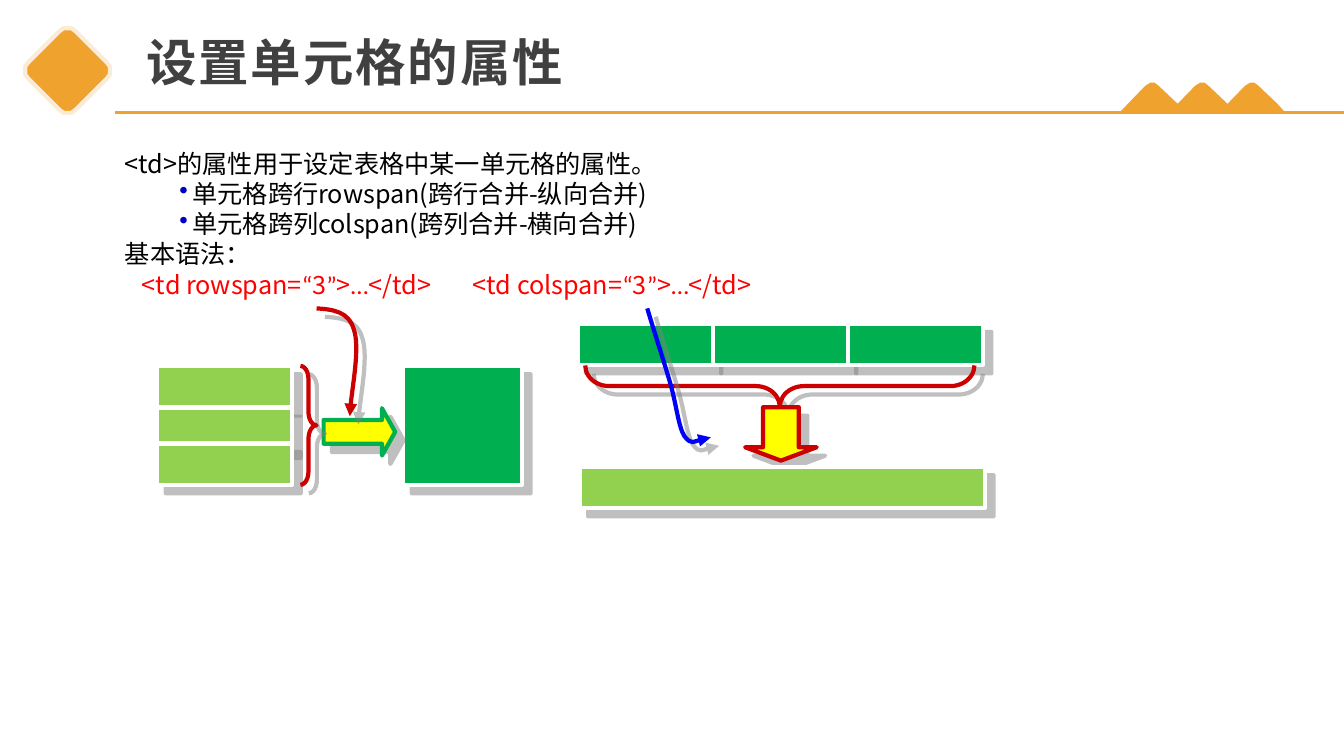
from lxml.etree import SubElement
from pptx import Presentation
from pptx.dml.color import RGBColor
from pptx.enum.shapes import MSO_CONNECTOR, MSO_SHAPE
from pptx.oxml.ns import qn
from pptx.util import Inches, Pt

ORANGE = RGBColor(0xF0, 0xA2, 0x2E)
CREAM = RGBColor(0xFC, 0xEC, 0xD5)
GREY = RGBColor(0x40, 0x40, 0x40)
BLACK = RGBColor(0, 0, 0)
WHITE = RGBColor(0xFF, 0xFF, 0xFF)
LIME = RGBColor(0x92, 0xD0, 0x50)
GREEN = RGBColor(0x00, 0xB0, 0x50)
YELLOW = RGBColor(0xFF, 0xFF, 0x00)
RED = RGBColor(0xFF, 0, 0)
CRIMSON = RGBColor(0xCC, 0, 0)
BLUE = RGBColor(0, 0, 0xFA)
SHADE = RGBColor(0x80, 0x80, 0x80)
NAVY = RGBColor(0, 0, 0xCC)
SANS = "Noto Sans CJK SC"
QUOTE = "Calibri"
HEAD = "Roboto"


class Board:
    def __init__(self, slide):
        self.shapes = slide.shapes

    def paint(self, shape, fill, line, width, shade):
        if fill is None:
            shape.fill.background()
        else:
            shape.fill.solid()
            shape.fill.fore_color.rgb = fill
        if line is None:
            shape.line.fill.background()
        else:
            shape.line.color.rgb = line
            shape.line.width = Pt(width)
        shape.shadow.inherit = False
        if shade:
            effects = shape.element.spPr.find(qn("a:effectLst"))
            outer = SubElement(effects, qn("a:outerShdw"), blurRad="0", dist=str(Pt(8.5)),
                               dir="2700000", algn="ctr", rotWithShape="0")
            tint = SubElement(outer, qn("a:srgbClr"), val=str(SHADE))
            SubElement(tint, qn("a:alpha"), val="50000")
        return shape

    def block(self, kind, box, fill, line, turn=0, adjust=(), group=None):
        home = group.shapes if group else self.shapes
        shape = home.add_shape(kind, *map(Inches, box))
        for index, value in enumerate(adjust):
            shape.adjustments[index] = value
        shape.rotation = turn
        return self.paint(shape, fill, line, 3, True)

    def bars(self, boxes, fill):
        group = self.shapes.add_group_shape()
        for box in boxes:
            self.block(MSO_SHAPE.RECTANGLE, box, fill, WHITE, group=group)

    def outline(self, points, close=True):
        spots = [(Inches(x), Inches(y)) for x, y in points]
        maker = self.shapes.build_freeform(*spots[0])
        maker.add_line_segments(spots[1:], close=close)
        return maker.convert_to_shape()

    def shape(self, points, fill=None, line=None):
        self.paint(self.outline(points), fill, line, 3, False)

    def curve(self, points, color):
        shape = self.outline(points, close=False)
        track = next(shape.element.iter(qn("a:path")))
        steps = track.findall(qn("a:lnTo"))
        for start in range(0, len(steps), 3):
            bend = SubElement(track, qn("a:cubicBezTo"))
            for step in steps[start:start + 3]:
                bend.append(step[0])
                track.remove(step)
        self.paint(shape, None, color, 3, True)
        line = shape.element.spPr.find(qn("a:ln"))
        SubElement(line, qn("a:tailEnd"), type="triangle")

    def rule(self, left, right, top):
        line = self.shapes.add_connector(MSO_CONNECTOR.STRAIGHT, Inches(left), Inches(top),
                                         Inches(right), Inches(top))
        line.line.color.rgb = ORANGE
        line.line.width = Pt(2.25)
        SubElement(line.element.spPr, qn("a:effectLst"))

    def frame(self, box, inset=None):
        frame = self.shapes.add_textbox(*map(Inches, box)).text_frame
        frame.word_wrap = True
        if inset is not None:
            frame.margin_left = frame.margin_right = Inches(inset)
            frame.margin_top = frame.margin_bottom = Inches(inset)
        return frame

    def text(self, para, runs, size, color, face, margin=0, indent=0,
             bullet=False, tab=None, bold=False, track=0):
        props = para._p.get_or_add_pPr()
        props.set("marL", str(Inches(margin)))
        props.set("indent", str(Inches(indent)))
        if bullet:
            tint = SubElement(props, qn("a:buClr"))
            SubElement(tint, qn("a:srgbClr"), val=str(NAVY))
            SubElement(props, qn("a:buChar"), char="•")
        if tab:
            stops = SubElement(props, qn("a:tabLst"))
            SubElement(stops, qn("a:tab"), pos=str(Inches(tab)), algn="l")
        para.font.size = Pt(size)
        para.font.bold = bold
        para.font.color.rgb = color
        base = props.find(qn("a:defRPr"))
        base.set("spc", str(track))
        if len(runs) == 1:
            para.font.name = face
        SubElement(base, qn("a:ea"), typeface=face)
        for words in runs:
            run = para.add_run()
            run.text = words
            if len(runs) > 1:
                run.font.name = QUOTE if words in "“”…" else face


def main():
    deck = Presentation()
    deck.slide_width, deck.slide_height = Inches(13.33), Inches(7.5)
    board = Board(deck.slides.add_slide(deck.slide_layouts[6]))

    side = [(0, -0.42), (0.04, -0.42), (0.08, -0.39), (0.39, -0.08), (0.42, -0.04)]
    gem = []
    for _ in range(4):
        gem += [(0.67 + x, 0.7 + y) for x, y in side]
        side = [(-y, x) for x, y in side]
    board.shape(gem, fill=ORANGE)
    board.shape(gem, line=CREAM)
    board.rule(1.14, 13.33, 1.12)

    peak = [(-0.07, 0.85), (-0.02, 0.82), (0.02, 0.82), (0.06, 0.85), (0.25, 1.03)]
    hills = [(11.43 + 0.99 * n / 2 + x, y) for n in range(3) for x, y in peak]
    board.shape([(11.1, 1.12), *hills, (12.75, 1.12)], fill=ORANGE)

    title = board.frame((1.44, 0.31, 8.65, 0.62), inset=0).paragraphs[0]
    title.space_before = Pt(1)
    board.text(title, ["设置单元格的属性"], 36, GREY, HEAD, margin=0.01, bold=True, track=140)

    plain = dict(color=BLACK, margin=0.05)
    point = dict(color=BLACK, margin=0.72, indent=-0.13, bullet=True)
    code = dict(color=RED, indent=0.22, tab=3.42)
    lines = [
        (["<td>的属性用于设定表格中某一单元格的属性。"], plain),
        (["单元格跨行rowspan(跨行合并-纵向合并)"], point),
        (["单元格跨列colspan(跨列合并-横向合并)"], point),
        (["基本语法："], plain),
        (["<td rowspan=", "“", "3", "”", ">", "…", "</td>\t<td colspan=",
          "“", "3", "”", ">", "…", "</td>"], code),
    ]
    body = board.frame((1.09, 1.42, 9.33, 1.94))
    for index, (runs, style) in enumerate(lines):
        para = body.add_paragraph() if index else body.paragraphs[0]
        board.text(para, runs, 18, face=SANS, **style)

    wide, high = 1.34, 0.41
    board.bars([(1.56, top, wide, high) for top in (3.63, 4.05, 4.4)], LIME)
    board.block(MSO_SHAPE.RECTANGLE, (4, 3.63, 1.18, 1.18), GREEN, WHITE)
    board.block(MSO_SHAPE.RIGHT_ARROW, (3.21, 4.05, 0.71, 0.47), YELLOW, GREEN,
                adjust=(0.5, 0.28))
    board.curve([(3.14, 3.06), (3.3, 3.07), (3.46, 3.09), (3.51, 3.27),
                 (3.57, 3.44), (3.47, 3.98), (3.47, 4.13)], CRIMSON)

    board.bars([(5.73 + wide * n, 3.21, wide, high) for n in range(3)], GREEN)
    board.block(MSO_SHAPE.LEFT_BRACE, (7.53, 1.9, 0.41, 3.86), None, CRIMSON,
                turn=270, adjust=(0.58, 0.5))
    board.block(MSO_SHAPE.RIGHT_ARROW, (7.48, 3.95, 0.53, 0.71), YELLOW, CRIMSON,
                turn=90, adjust=(0.5, 0.25))
    board.block(MSO_SHAPE.RECTANGLE, (5.75, 4.63, 3 * wide, high), LIME, WHITE)
    board.curve([(6.42, 3.06), (6.5, 3.33), (6.59, 3.6), (6.65, 3.81), (6.71, 4.02),
                 (6.73, 4.24), (6.79, 4.33), (6.86, 4.42), (7.01, 4.34), (7.05, 4.34)], BLUE)
    board.block(MSO_SHAPE.RIGHT_BRACE, (2.98, 3.63, 0.16, 1.18), None, CRIMSON,
                adjust=(0.83, 0.5))
    deck.save("out.pptx")


if __name__ == "__main__":
    main()
